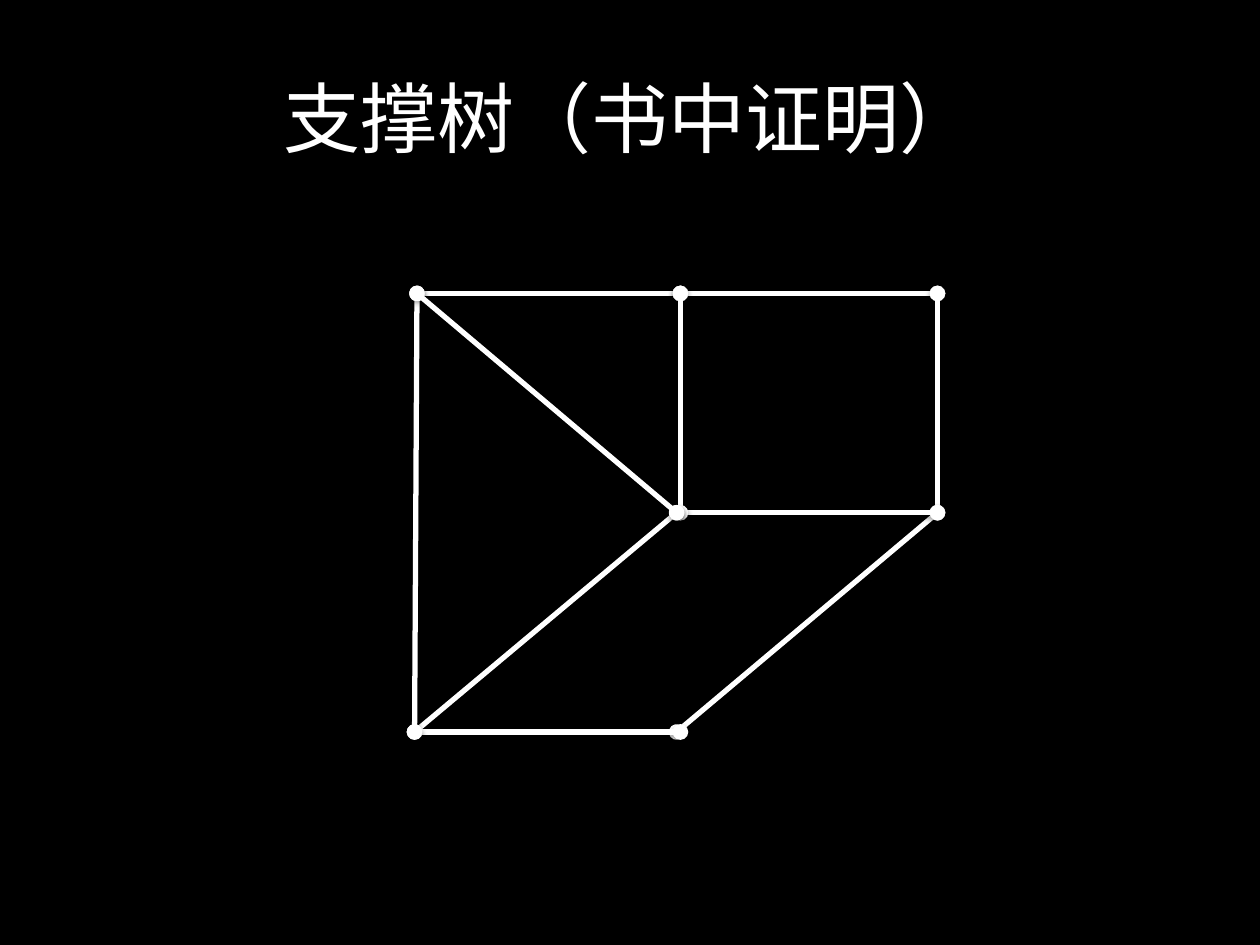
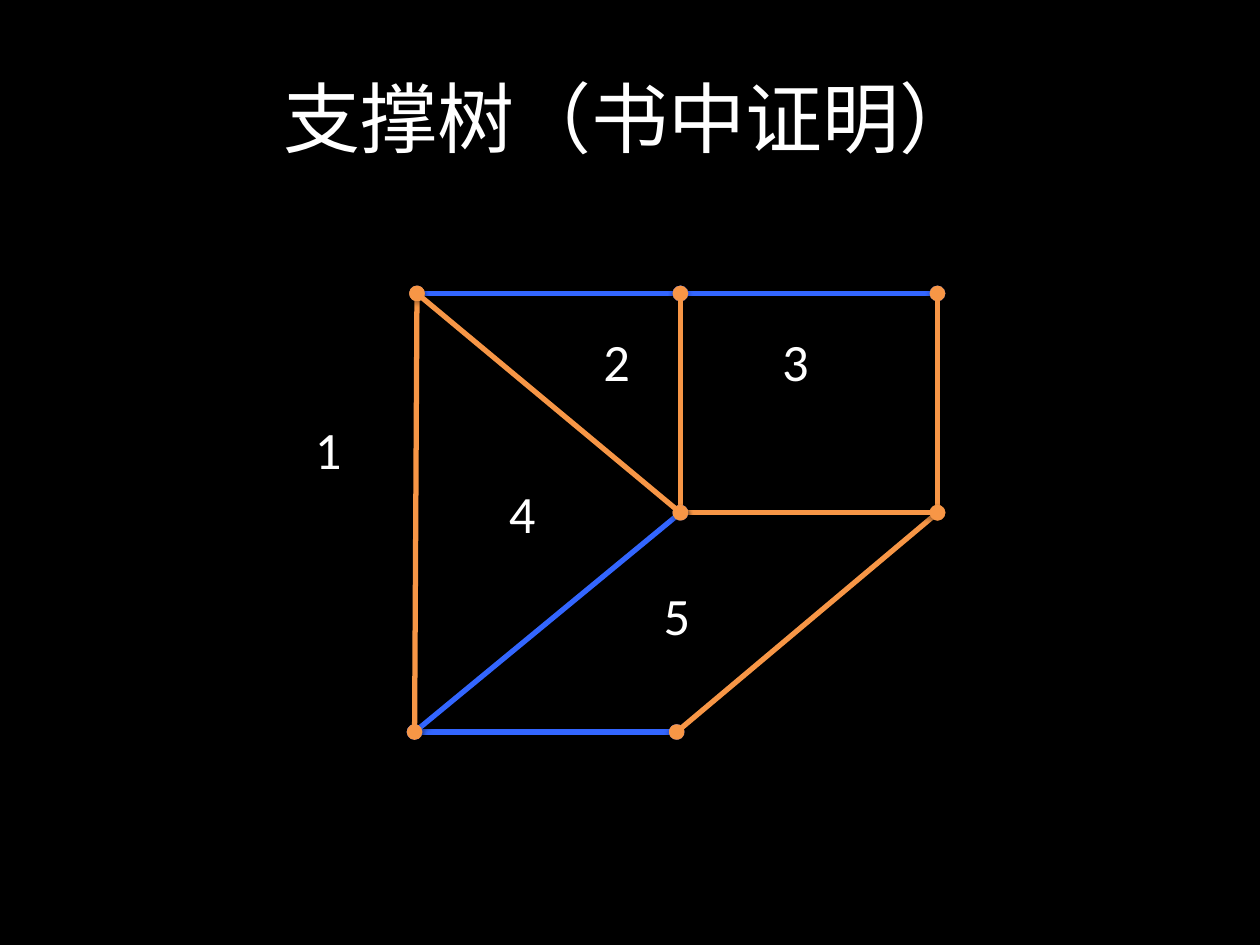
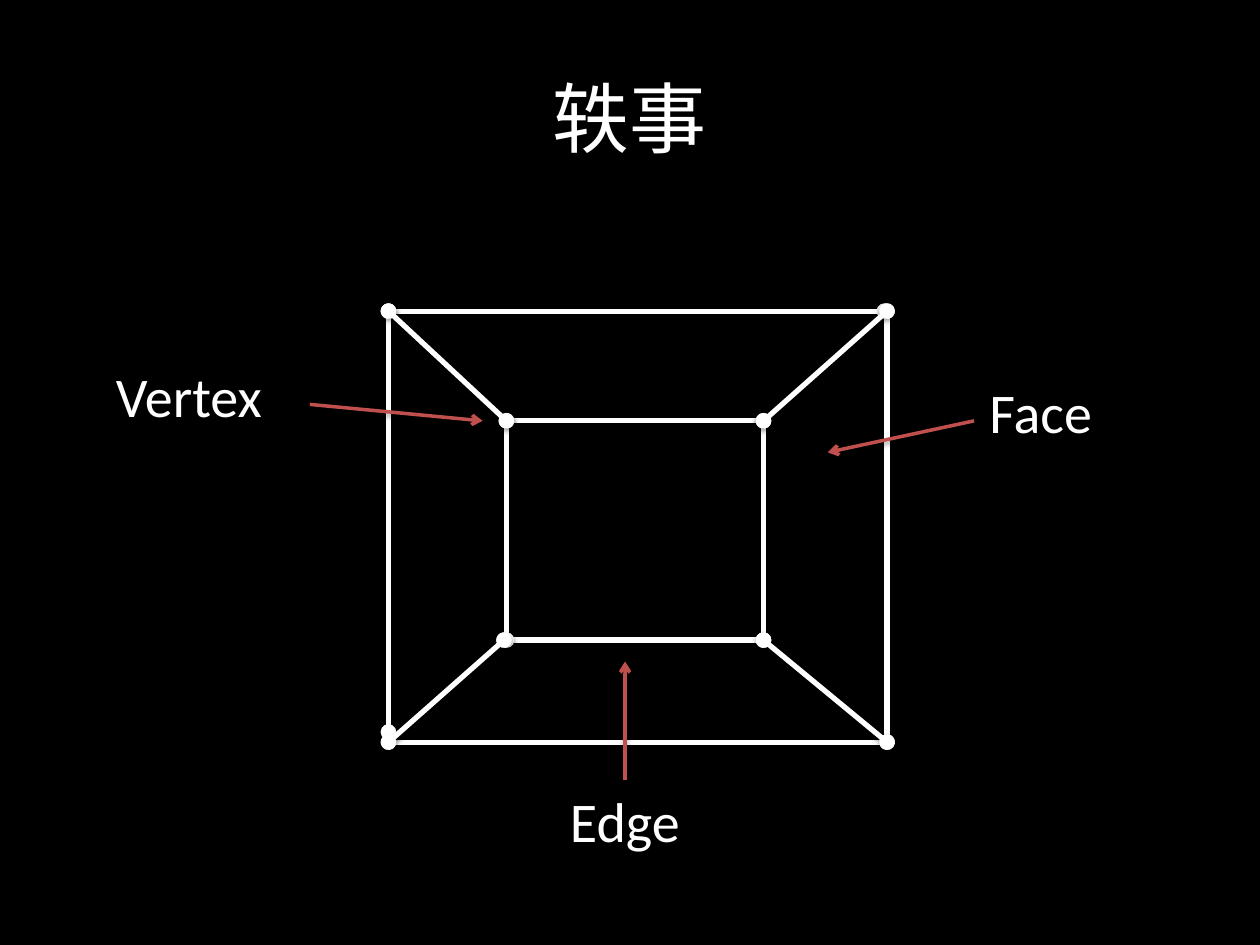
from pptx import Presentation
from pptx.dml.color import RGBColor
from pptx.enum.shapes import MSO_CONNECTOR
from pptx.enum.text import MSO_ANCHOR, MSO_AUTO_SIZE, PP_ALIGN
from pptx.oxml import parse_xml
from pptx.oxml.ns import nsdecls
from pptx.util import Pt

BLACK = RGBColor(0x00, 0x00, 0x00)
WHITE = RGBColor(0xFF, 0xFF, 0xFF)
BLUE = RGBColor(0x33, 0x66, 0xFF)
ORANGE = RGBColor(0xF7, 0x96, 0x46)
RED = RGBColor(0xC0, 0x50, 0x4D)

LATIN_FONT = "Calibri"
CHINESE_FONT = "Noto Sans CJK SC"
TITLES = ["支撑树（书中证明）", "支撑树（书中证明）", "轶事"]
SHADOW = (
    f'<a:effectLst {nsdecls("a")}>'
    '<a:outerShdw blurRad="40000" dist="20000" dir="5400000" rotWithShape="0">'
    '<a:srgbClr val="000000"><a:alpha val="38000"/></a:srgbClr>'
    "</a:outerShdw></a:effectLst>"
)


def add_text(slide, text, left, top, width, height, size=32, font=LATIN_FONT,
             align=PP_ALIGN.CENTER, anchor=MSO_ANCHOR.TOP, wrap=True):
    box = slide.shapes.add_textbox(Pt(left), Pt(top), Pt(width), Pt(height))
    frame = box.text_frame
    frame.word_wrap = wrap
    frame.auto_size = MSO_AUTO_SIZE.NONE if wrap else MSO_AUTO_SIZE.SHAPE_TO_FIT_TEXT
    frame.vertical_anchor = anchor
    paragraph = frame.paragraphs[0]
    paragraph.alignment = align
    run = paragraph.add_run()
    run.text = text
    run.font.size = Pt(size)
    run.font.name = font
    run.font.color.rgb = WHITE
    if font == CHINESE_FONT:
        run.font._element.append(parse_xml(f'<a:ea {nsdecls("a")} typeface="{font}"/>'))


def add_line(slide, start, end, color=WHITE, width=3, head="oval", tail="oval"):
    """Draw a shadowed line from start to end, with the given end marks."""
    line = slide.shapes.add_connector(MSO_CONNECTOR.STRAIGHT, *map(Pt, start + end))
    line.line.color.rgb = color
    line.line.width = Pt(width)
    outline = line.line._get_or_add_ln()
    for tag, mark in (("headEnd", head), ("tailEnd", tail)):
        outline.append(parse_xml(f'<a:{tag} {nsdecls("a")} type="{mark}"/>'))
    line._element.spPr.append(parse_xml(SHADOW))


prs = Presentation()
prs.slide_width, prs.slide_height = Pt(720), Pt(540)

slides = []
for title in TITLES:
    slide = prs.slides.add_slide(prs.slide_layouts[6])
    slide.background.fill.solid()
    slide.background.fill.fore_color.rgb = BLACK
    add_text(slide, title, 36, 21.6, 648, 90, size=44, font=CHINESE_FONT,
             anchor=MSO_ANCHOR.MIDDLE)
    slides.append(slide)
plain_graph, spanning_tree, anecdote = slides

# Vertices of the graph on the first two slides
TOP, MIDDLE, BOTTOM = 167.7, 293, 418.3
CENTER_X, SHIFTED_X, RIGHT_X = 388.8, 386.7, 535.7
top_left, top_center, top_right = (238.3, TOP), (CENTER_X, TOP), (RIGHT_X, TOP)
center, center_shifted = (CENTER_X, MIDDLE), (SHIFTED_X, MIDDLE)
right = (RIGHT_X, MIDDLE)
bottom_left = (236.9, BOTTOM)
bottom, bottom_shifted = (CENTER_X, BOTTOM), (SHIFTED_X, BOTTOM)

# Slide 1: the graph
for start, end in [
    (top_left, top_center),
    (top_center, top_right),
    (right, top_right),
    (bottom_shifted, right),
    (center_shifted, right),
    (center, top_center),
    (bottom_left, center_shifted),
    (bottom_left, bottom),
    (bottom_left, top_left),
    (top_left, center_shifted),
]:
    add_line(plain_graph, start, end)

# Slide 2: its spanning tree in orange, the other edges in blue, faces numbered
for start, end, color in [
    (bottom_left, bottom_shifted, BLUE),
    (top_left, top_center, BLUE),
    (top_center, top_right, BLUE),
    (right, top_right, ORANGE),
    (bottom_shifted, right, ORANGE),
    (center, right, ORANGE),
    (center, top_center, ORANGE),
    (bottom_left, center, BLUE),
    (bottom_left, top_left, ORANGE),
    (top_left, center, ORANGE),
]:
    add_line(spanning_tree, start, end, color)

face_corners = [(172.8, 234.7), (337.7, 184.3), (439.9, 184.3), (283.7, 271.4), (372.2, 329.8)]
for number, (left, top) in enumerate(face_corners, start=1):
    add_text(spanning_tree, str(number), left, top, 30, 44, size=30,
             align=PP_ALIGN.LEFT, wrap=False)

# Slide 3: a cube drawn flat, with its parts named
INNER_LEFT, INNER_RIGHT, INNER_TOP, INNER_BOTTOM = 289.4, 436.3, 240.5, 365.8
OUTER_LEFT, OUTER_RIGHT, OUTER_TOP, OUTER_BOTTOM = 222, 506.9, 177.8, 424.1
inner_top_left, inner_top_right = (INNER_LEFT, INNER_TOP), (INNER_RIGHT, INNER_TOP)
inner_bottom_left, inner_bottom_right = (INNER_LEFT, INNER_BOTTOM), (INNER_RIGHT, INNER_BOTTOM)
inner_bottom_shifted = (288, INNER_BOTTOM)
outer_top_left, outer_top_right = (OUTER_LEFT, OUTER_TOP), (OUTER_RIGHT, OUTER_TOP)
outer_bottom_left, outer_bottom_right = (OUTER_LEFT, OUTER_BOTTOM), (OUTER_RIGHT, OUTER_BOTTOM)

for start, end in [
    (inner_top_left, inner_top_right),
    (inner_bottom_right, inner_top_right),
    (inner_bottom_shifted, inner_bottom_right),
    (inner_bottom_left, inner_top_left),
    (outer_top_left, (505.4, OUTER_TOP)),
    (outer_bottom_right, outer_top_right),
    (outer_bottom_left, outer_bottom_right),
    ((OUTER_LEFT, BOTTOM), outer_top_left),
    (inner_top_right, outer_top_right),
    (inner_bottom_right, outer_bottom_right),
    (inner_bottom_shifted, outer_bottom_left),
    (inner_top_left, outer_top_left),
]:
    add_line(anecdote, start, end)

for part, left, top, arrow_start, arrow_end in [
    ("Vertex", 39.6, 203, (177.1, 231.1), (275.8, 240.5)),
    ("Edge", 288.7, 445.7, (357.2, 445.7), (357.2, 378)),
    ("Face", 526.3, 212.4, (556.6, 240.5), (473, 258.5)),
]:
    add_text(anecdote, part, left, top, 136.8, 56.2)
    add_line(anecdote, arrow_start, arrow_end, RED, width=2, head="none", tail="arrow")

prs.save("out.pptx")
